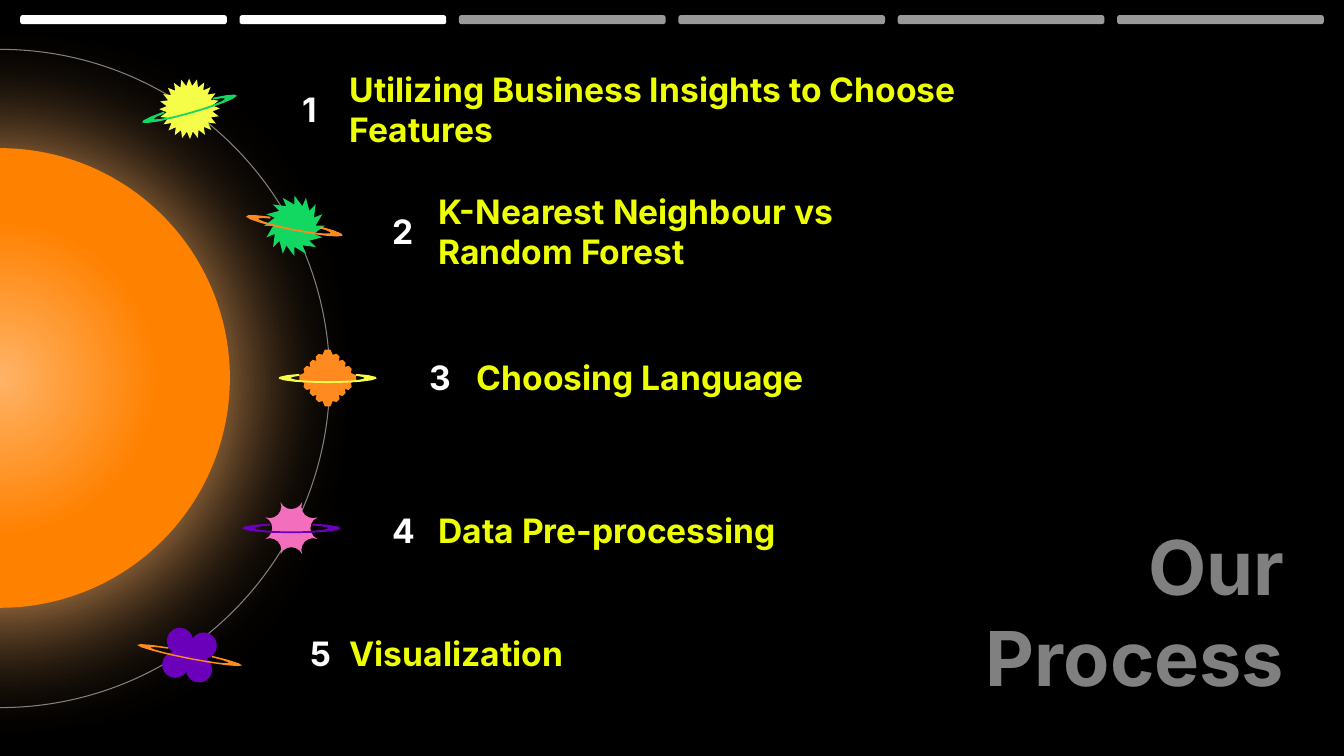
from itertools import cycle
from math import atan2, cos, hypot, pi, radians, sin

from lxml.etree import SubElement
from pptx import Presentation
from pptx.dml.color import RGBColor
from pptx.enum.shapes import MSO_SHAPE as SHAPE
from pptx.enum.text import MSO_ANCHOR as ANCHOR, MSO_AUTO_SIZE as AUTO, PP_ALIGN as ALIGN
from pptx.oxml.ns import qn
from pptx.util import Inches, Pt

BLACK = RGBColor(0x00, 0x00, 0x00)
WHITE = RGBColor(0xFF, 0xFF, 0xFF)
GRAY = RGBColor(0x80, 0x80, 0x80)
LIME = RGBColor(0xEE, 0xFF, 0x00)
SUN = RGBColor(0xFF, 0x81, 0x00)
GLOW = RGBColor(0xFF, 0xB3, 0x66)
YELLOW = RGBColor(0xF5, 0xFD, 0x49)
GREEN = RGBColor(0x12, 0xD8, 0x61)
ORANGE = RGBColor(0xFF, 0x8B, 0x20)
PINK = RGBColor(0xF4, 0x6E, 0xBE)
PURPLE = RGBColor(0x6B, 0x00, 0xBA)


def polar(radius, degrees):
    a = radians(degrees)
    return radius * sin(a), -radius * cos(a)


def saw_blade(tips, outer, inner):
    step = 360 / tips
    return [polar(r, step * (i + shift))
            for i in range(tips) for r, shift in ((outer, 0.5), (inner, 1.5))]


def scallop(corners, bulges):
    points = []
    steps = 48 // len(corners)
    for (x1, y1), (x2, y2), bulge in zip(corners, corners[1:] + corners[:1], cycle(bulges)):
        chord = hypot(x2 - x1, y2 - y1)
        radius = (chord ** 2 / 4 + bulge ** 2) / (2 * bulge)
        nx, ny = (y2 - y1) / chord, (x1 - x2) / chord
        cx = (x1 + x2) / 2 + nx * (bulge - radius)
        cy = (y1 + y2) / 2 + ny * (bulge - radius)
        start = atan2(y1 - cy, x1 - cx)
        sweep = atan2(y2 - cy, x2 - cx) - start
        sweep = sweep % (2 * pi) if bulge > 0 else -(-sweep % (2 * pi))
        points += [(cx + abs(radius) * cos(start + sweep * i / steps),
                    cy + abs(radius) * sin(start + sweep * i / steps))
                   for i in range(steps)]
    return points


def ring(rx, ry, gap, steps=14):
    def arc(a, b):
        first = atan2(gap, (a * a - gap * gap) ** 0.5)
        angles = [first + (2 * pi - 2 * first) * i / steps for i in range(steps + 1)]
        return [(a * sin(t), -b * cos(t)) for t in angles]
    return arc(rx, ry) + arc(rx * 0.75, ry * 0.65)[::-1]


def staircase():
    corner = [(0.05, -0.23), (0.11, -0.17), (0.17, -0.11), (0.23, -0.05)]
    points = []
    for _ in range(4):
        points += corner
        corner = [(-y, x) for x, y in corner]
    return points


class SlideBuilder:
    """Draws the elements of the slide in one shared style."""

    def __init__(self, prs, font):
        self.font = font
        self.s = prs.slides.add_slide(prs.slide_layouts[5])
        self.s.background.fill.solid()
        self.s.background.fill.fore_color.rgb = BLACK

    def finish(self, sp, color):
        sp.shadow.inherit = False
        sp.line.fill.background()
        if color is None:
            sp.fill.background()
        else:
            sp.fill.solid()
            sp.fill.fore_color.rgb = color
        return sp

    def preset(self, kind, x, y, w, h, color=None):
        sp = self.s.shapes.add_shape(kind, Inches(x), Inches(y), Inches(w), Inches(h))
        return self.finish(sp, color)

    def orbit(self, x, y, size):
        sp = self.preset(SHAPE.OVAL, x, y, size, size)
        sp.line.color.rgb = GRAY
        sp.line.width = Pt(0.75)

    def sun(self, x, y, size):
        sp = self.preset(SHAPE.OVAL, x, y, size, size)
        sp.fill.gradient()
        for stop, color, position in zip(sp.fill.gradient_stops, (GLOW, SUN), (0, 0.49)):
            stop.color.rgb = color
            stop.position = position
        spPr = sp._element.spPr
        grad = spPr.find(qn("a:gradFill"))
        grad.remove(grad.find(qn("a:lin")))
        focus = SubElement(grad, qn("a:path"), {"path": "circle"})
        SubElement(focus, qn("a:fillToRect"), dict.fromkeys("ltrb", "50000"))
        shadow = SubElement(spPr.find(qn("a:effectLst")), qn("a:outerShdw"), {
            "blurRad": str(Pt(100)), "dist": str(Pt(4)), "dir": "5400000",
            "algn": "ctr", "rotWithShape": "0"})
        SubElement(shadow, qn("a:srgbClr"), {"val": str(GLOW)})

    def star(self, cx, cy, radius, color, rotation):
        sp = self.preset(SHAPE.STAR_24_POINT, cx - radius, cy - radius,
                         2 * radius, 2 * radius, color)
        sp.adjustments[0] = 0.38
        sp.rotation = rotation

    def outline(self, cx, cy, points, color, rotation):
        spots = [(Inches(cx + x), Inches(cy + y)) for x, y in points]
        fb = self.s.shapes.build_freeform(*spots[0])
        fb.add_line_segments(spots[1:], close=True)
        sp = self.finish(fb.convert_to_shape(), color)
        sp.rotation = rotation

    def style(self, tf, text, size, color, anchor, align):
        tf.word_wrap = True
        tf.auto_size = AUTO.SHAPE_TO_FIT_TEXT
        tf.vertical_anchor = anchor
        p = tf.paragraphs[0]
        p.text = text
        p.alignment = align
        p.line_spacing = 1.0
        p.font.name, p.font.size, p.font.bold = self.font, Pt(size), True
        p.font.color.rgb = color

    def text(self, x, middle, w, h, text, color):
        box = self.s.shapes.add_textbox(Inches(x), Inches(middle - h / 2), Inches(w), Inches(h))
        self.style(box.text_frame, text, 24, color, ANCHOR.MIDDLE, ALIGN.LEFT)

    def title(self, x, y, w, h, text):
        sp = self.s.shapes.title
        sp.left, sp.top, sp.width, sp.height = map(Inches, (x, y, w, h))
        self.style(sp.text_frame, text, 54, GRAY, ANCHOR.BOTTOM, ALIGN.RIGHT)

    def progress(self, count, done):
        for i in range(count):
            sp = self.preset(SHAPE.ROUNDED_RECTANGLE, 0.2 + 2.176 * i, 0.15, 2.05, 0.09, WHITE)
            sp.adjustments[0] = 0.29
            if i >= done:
                clr = sp._element.spPr.find(qn("a:solidFill")).find(qn("a:srgbClr"))
                SubElement(clr, qn("a:alpha"), {"val": "60000"})


def main():
    prs = Presentation()
    prs.slide_width, prs.slide_height = Inches(13.33), Inches(7.5)
    slide = SlideBuilder(prs, "Inter")
    slide.orbit(-3.26, 0.49, 6.53)
    slide.sun(-2.28, 1.47, 4.56)

    octagon = scallop([polar(0.28, 22.5 + 45 * i) for i in range(8)], [-0.07])
    clover = scallop([polar(0.17, 90 * i) for i in range(4)], [0.18])
    cloud = scallop(staircase(), [0.04, 0.04, 0.04, 0.06])
    blade = saw_blade(16, 0.3, 0.21)
    planets = [
        (2.89, 5.24, octagon, PINK, PURPLE, (0.49, 0.05, 0.21), 0),
        (3.25, 3.75, cloud, ORANGE, YELLOW, (0.49, 0.05, 0.28), 0),
        (1.88, 6.5, clover, PURPLE, ORANGE, (0.53, 0.04, 0.22), 11.1),
        (2.92, 2.24, blade, GREEN, ORANGE, (0.49, 0.05, 0.25), 11.1),
        (1.88, 1.08, None, YELLOW, GREEN, (0.49, 0.05, 0.25), 344.2),
    ]
    for cx, cy, body, color, ring_color, band, rotation in planets:
        if body:
            slide.outline(cx, cy, body, color, rotation)
        else:
            slide.star(cx, cy, 0.3, color, rotation)
        slide.outline(cx, cy, ring(*band), ring_color, rotation)

    steps = [
        (2.9, 3.37, 1.08, 7.71, 0.5, "Utilizing Business Insights to Choose Features"),
        (3.79, 4.25, 2.29, 4.18, 0.91, "K-Nearest Neighbour vs Random Forest"),
        (4.16, 4.63, 3.74, 4.72, 0.5, "Choosing Language"),
        (3.79, 4.25, 5.26, 4.18, 0.5, "Data Pre-processing"),
        (2.98, 3.37, 6.48, 4.95, 0.5, "Visualization"),
    ]
    for number, (x, label_x, middle, w, h, label) in enumerate(steps, 1):
        slide.text(x, middle, 0.59, 0.5, str(number), WHITE)
        slide.text(label_x, middle, w, h, label, LIME)

    slide.title(8.28, 5.09, 4.56, 1.92, "Our Process")
    slide.progress(6, 2)
    prs.save("out.pptx")


if __name__ == "__main__":
    main()
